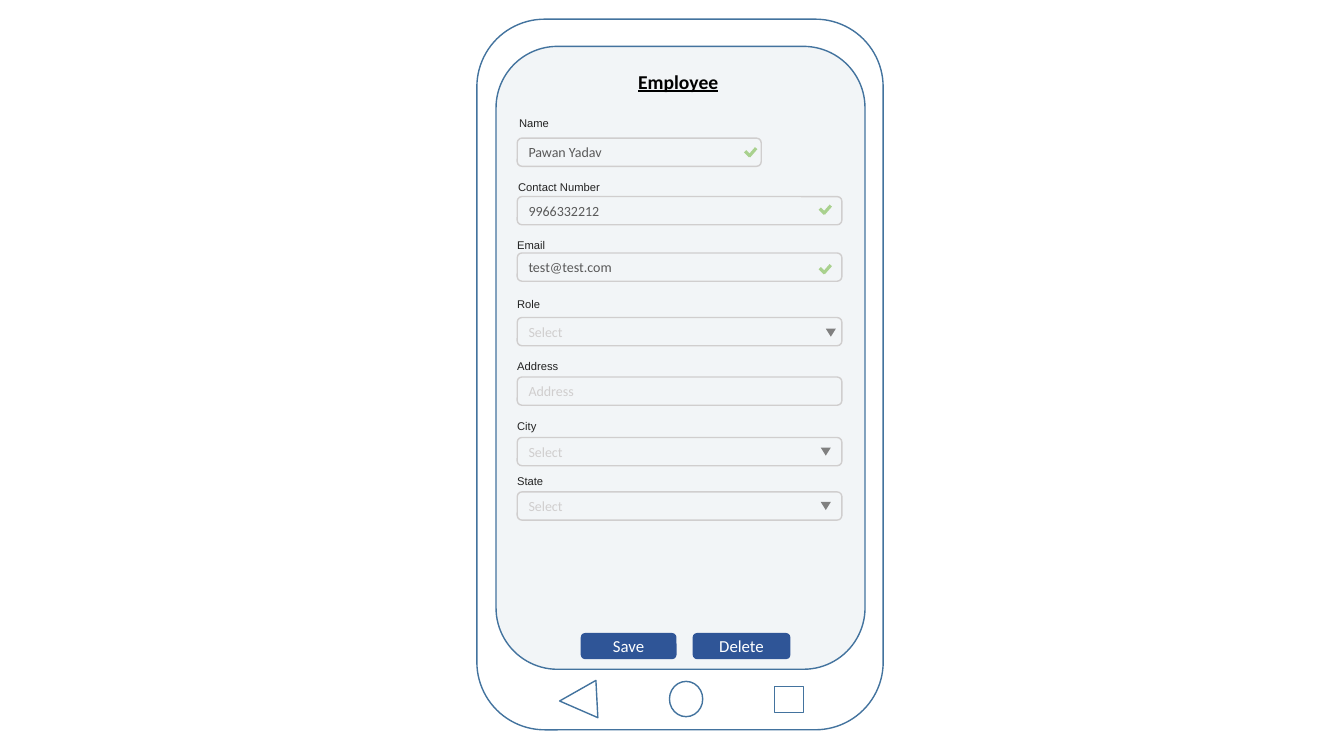
import pptx
import pptx.util
import pptx.dml.color
import pptx.enum.shapes
import pptx.enum.text
import pptx.oxml.ns
from lxml import etree

PX = 9144  # 100 px to the inch
COLORS = {
    "outline": "43739E", "screen": "F2F5F7", "border": "D0CECE",
    "value": "595959", "label": "222222", "title": "000000",
    "tick": "A9D18E", "arrow": "808080", "button": "2F5597", "white": "FFFFFF",
}
RGB = {name: pptx.dml.color.RGBColor.from_string(c) for name, c in COLORS.items()}
SHAPE = pptx.enum.shapes.MSO_SHAPE
ALIGN = pptx.enum.text.PP_ALIGN


def add_box(shapes, kind, px, fill=None, line=None):
    sp = shapes.add_shape(kind, *[v * PX for v in px])
    sp.shadow.inherit = False
    if fill:
        sp.fill.solid()
        sp.fill.fore_color.rgb = RGB[fill]
    else:
        sp.fill.background()
    if line:
        sp.line.color.rgb = RGB[line]
        sp.line.width = pptx.util.Pt(1)
    else:
        sp.line.fill.background()
    return sp


def write(sp, text, size, color, font="Calibri", align=ALIGN.LEFT):
    p = sp.text_frame.paragraphs[0]
    p.alignment = align
    r = p.add_run()
    r.text = text
    r.font.name = font
    r.font.size = pptx.util.Pt(size)
    r.font.color.rgb = RGB[color]
    return r


prs = pptx.Presentation()
prs.slide_width, prs.slide_height = 1333 * PX, 750 * PX
s = prs.slides.add_slide(prs.slide_layouts[6])

# Phone body, screen and navigation keys
phone = s.shapes.add_group_shape()
add_box(phone.shapes, SHAPE.OVAL, (664, 676, 33, 35), line="outline")
add_box(phone.shapes, SHAPE.RECTANGLE, (768, 681, 29, 26), line="outline")
back = add_box(phone.shapes, SHAPE.FLOWCHART_MERGE, (555, 676, 37, 37), line="outline")
back.rotation = 87
add_box(phone.shapes, SHAPE.ROUNDED_RECTANGLE, (473, 19, 403, 705), line="outline")
add_box(phone.shapes, SHAPE.ROUNDED_RECTANGLE, (492, 46, 366, 618), "screen", "outline")

# Title
title = s.shapes.add_textbox(623 * PX, 64 * PX, 122 * PX, 34 * PX)
title.text_frame.word_wrap = True
title.text_frame.auto_size = pptx.enum.text.MSO_AUTO_SIZE.SHAPE_TO_FIT_TEXT
r = write(title, "Employee", 14, "title")
r.font.bold = r.font.underline = True

# Fields: label, (x, y, width) of label, text, text colour, (y, width) of field
fields = [
    ("Name", (505, 111, 50), "Pawan Yadav", "value", (137, 242)),
    ("Contact Number", (504, 174, 102), "9966332212", "value", (195, 322)),
    ("Email", (503, 232, 48), "test@test.com", "value", (251, 322)),
    ("Role", (503, 290, 43), "Select", "border", (315, 322)),
    ("Address", (503, 352, 62), "Address", "border", (374, 322)),
    ("City", (503, 411, 39), "Select", "border", (434, 322)),
    ("State", (503, 466, 47), "Select", "border", (488, 322)),
]
for label, (x, y, w), text, color, (top, width) in fields:
    sp = s.shapes.add_textbox(x * PX, y * PX, w * PX, 24 * PX)
    sp.text_frame.word_wrap = False
    sp.text_frame.auto_size = pptx.enum.text.MSO_AUTO_SIZE.SHAPE_TO_FIT_TEXT
    write(sp, label, 8, "label", "Arial")
    sp = add_box(s.shapes, SHAPE.ROUNDED_RECTANGLE, (513, top, width, 28), line="border")
    write(sp, text, 10, color)

# Ticks on the valid fields
for x, y in [(739, 150), (813, 207), (813, 266)]:
    tick = s.shapes.add_group_shape()
    for x1, y1, x2, y2 in [(0, 0, 5, 5), (4, 5, 11, -3)]:
        stroke = tick.shapes.add_connector(
            pptx.enum.shapes.MSO_CONNECTOR.STRAIGHT,
            (x + x1) * PX, (y + y1) * PX, (x + x2) * PX, (y + y2) * PX)
        stroke.line.color.rgb = RGB["tick"]
        stroke.line.width = pptx.util.Pt(2.25)
        etree.SubElement(stroke._element.spPr, pptx.oxml.ns.qn("a:effectLst"))

# Drop-down arrows
for x, y in [(819, 326), (814, 444), (814, 498)]:
    arrow = add_box(s.shapes, SHAPE.ISOSCELES_TRIANGLE, (x, y, 10, 8), "arrow")
    arrow.rotation = 180

# Buttons
for text, x, w in [("Save", 576, 95), ("Delete", 687, 97)]:
    sp = add_box(s.shapes, SHAPE.ROUNDED_RECTANGLE, (x, 628, w, 26), "button")
    write(sp, text, 12, "white", align=ALIGN.CENTER)

prs.save("out.pptx")
